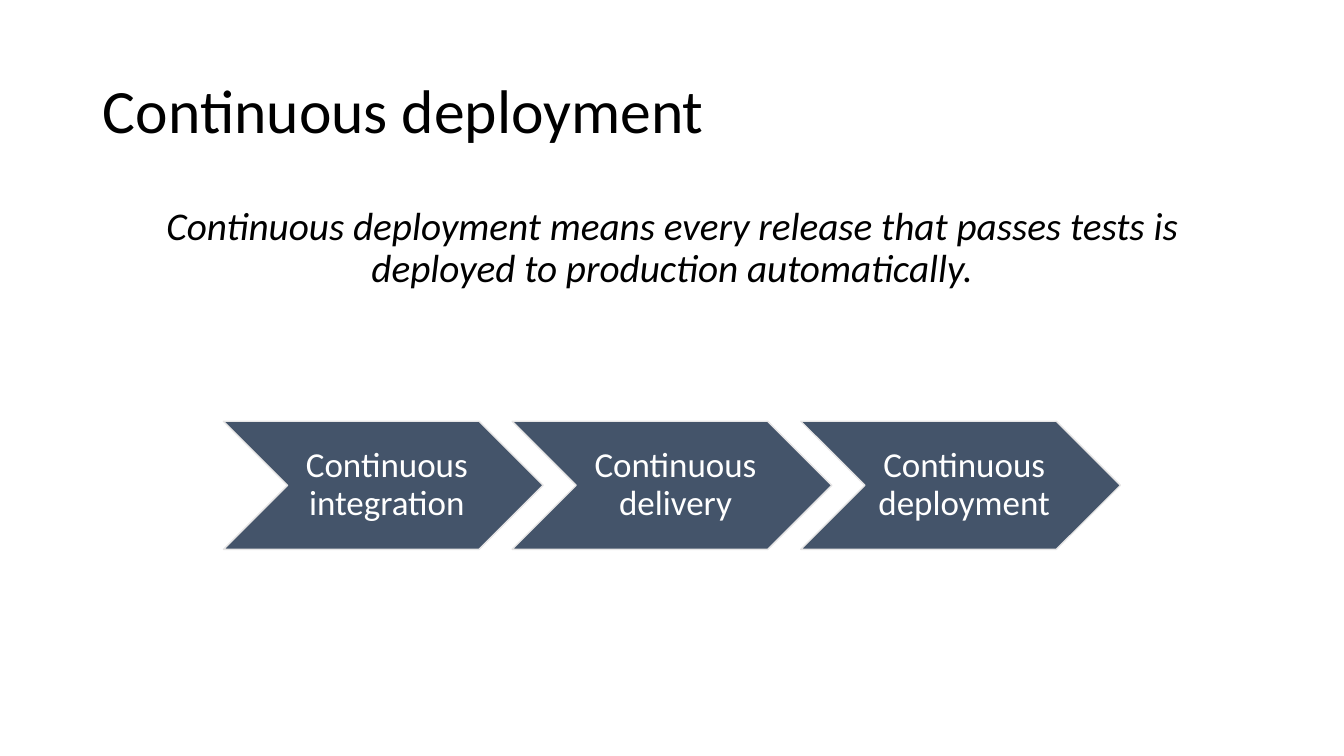
import pptx
import pptx.util
import pptx.dml.color
import pptx.enum.shapes
import pptx.enum.text

# Content
TITLE = "Continuous deployment"
LEAD = ("Continuous deployment means every release that passes tests is "
        "deployed to production automatically.")
STEPS = ["Continuous integration", "Continuous delivery", "Continuous deployment"]

# Theme
THEME = {
    "font": "Calibri", "ink": "000000", "fill": "44546A",
    "edge": "E7E6E6", "light": "FFFFFF",
    "title": 44, "lead": 28, "step": 25,
}

# Grid in inches
WIDE, HIGH = 13.33, 7.5
SIDE = 0.92
SPAN = WIDE - 2 * SIDE
STEP_W, STEP_H, STEP_Y = 3.17, 1.27, 4.18
PITCH = STEP_W * 0.9 + 0.01

ALIGN = pptx.enum.text.PP_ALIGN
ANCHOR = pptx.enum.text.MSO_ANCHOR
INCH = pptx.util.Inches


def tint(name):
    return pptx.dml.color.RGBColor.from_string(THEME[name])


def write(shape, text, size, color="ink", align=ALIGN.CENTER, anchor=ANCHOR.MIDDLE,
          italic=False, before=0, inset=(0.1, 0.05, 0.1, 0.05)):
    frame = shape.text_frame
    frame.word_wrap = True
    frame.auto_size = pptx.enum.text.MSO_AUTO_SIZE.NONE
    frame.vertical_anchor = anchor
    (frame.margin_left, frame.margin_top,
     frame.margin_right, frame.margin_bottom) = map(INCH, inset)
    para = frame.paragraphs[0]
    para.alignment = align
    para.line_spacing = 0.9
    para.space_before = pptx.util.Pt(before)
    run = para.add_run()
    run.text = text
    run.font.name = THEME["font"]
    run.font.size = pptx.util.Pt(THEME[size])
    run.font.italic = italic
    run.font.color.rgb = tint(color)


def main():
    deck = pptx.Presentation()
    deck.slide_width, deck.slide_height = INCH(WIDE), INCH(HIGH)
    slide = deck.slides.add_slide(deck.slide_layouts.get_by_name("Title Only"))

    # Title
    title = slide.shapes.title
    title.left, title.top = INCH(SIDE), INCH(0.4)
    title.width, title.height = INCH(SPAN), INCH(1.45)
    write(title, TITLE, "title", align=ALIGN.LEFT)

    # Definition
    lead = slide.shapes.add_textbox(INCH(SIDE), INCH(2), INCH(SPAN), INCH(4.76))
    write(lead, LEAD, "lead", anchor=ANCHOR.TOP, italic=True, before=10)

    # Chevron row, centred on the slide
    start = (WIDE - STEP_W - PITCH * (len(STEPS) - 1)) / 2
    for i, step in enumerate(STEPS):
        arrow = slide.shapes.add_shape(
            pptx.enum.shapes.MSO_SHAPE.CHEVRON,
            INCH(start + i * PITCH), INCH(STEP_Y), INCH(STEP_W), INCH(STEP_H))
        arrow.shadow.inherit = False
        arrow.fill.solid()
        arrow.fill.fore_color.rgb = tint("fill")
        arrow.line.color.rgb = tint("edge")
        arrow.line.width = pptx.util.Pt(1)
        write(arrow, step, "step", color="light", inset=(0.11, 0.04, 0.04, 0.04))

    deck.save("out.pptx")


if __name__ == "__main__":
    main()
